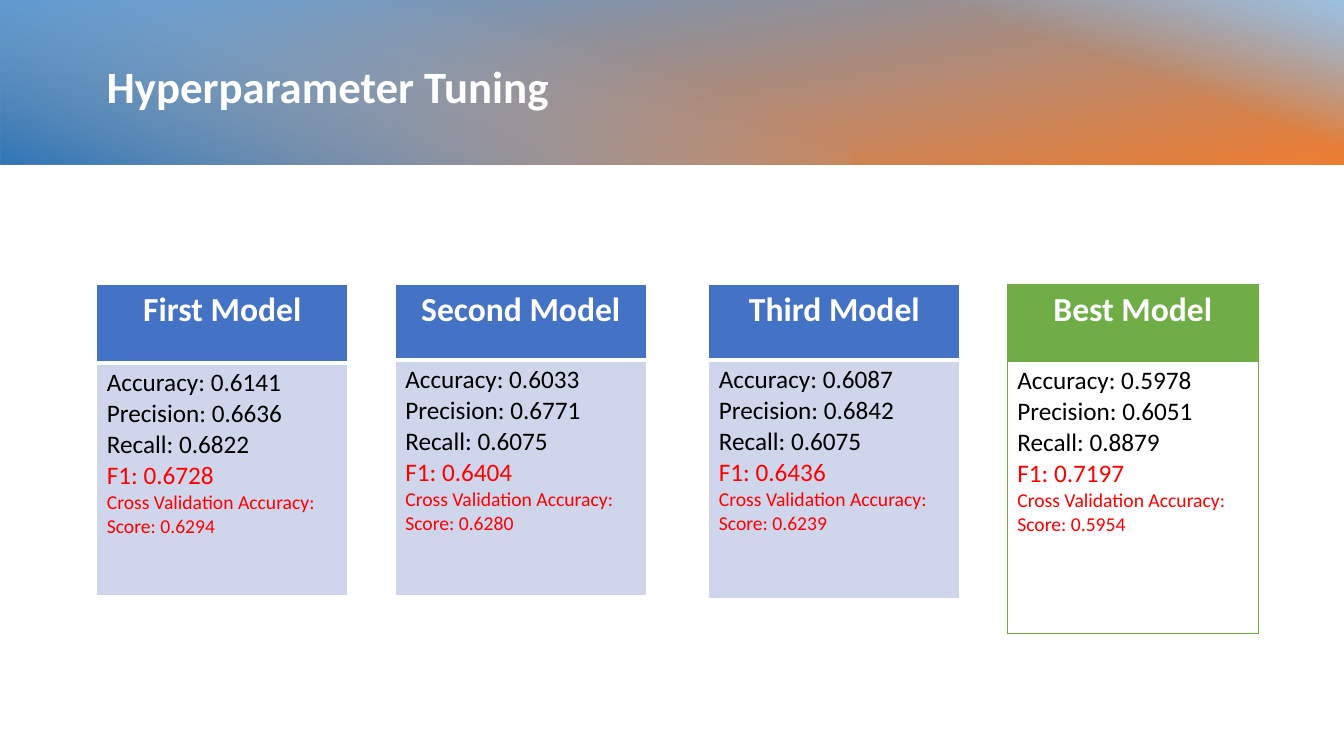
"""Builds the hyperparameter tuning slide with four model score tables."""
from pptx import Presentation, oxml, util as u
from pptx.dml.color import RGBColor
from pptx.enum import shapes, text
from pptx.oxml import ns

TITLE = "Hyperparameter Tuning"
FONT = "Calibri"
BANNER = [
    dict(box=(5.84, -5.87, 1.66, 13.34), rotation=270, angle=170,
         stops=[(0, "5B9BD5", 100), (100, "ED7D31", 100)]),
    dict(box=(9.75, -1.97, 1.65, 5.54), rotation=270, angle=20,
         stops=[(59, "9DC3E6", 0), (100, "9DC3E6", 100)]),
    dict(box=(3.39, -3.42, 1.66, 8.44), rotation=90, angle=20,
         stops=[(29, "9DC3E6", 0), (100, "2E75B6", 100)]),
]
BLUE = dict(header="4472C4", body="CFD5EA", border="FFFFFF", width=1, divider=3)
GREEN = dict(header="70AD47", body=None, border="70AD47", width=0.5, divider=0.5)
MODELS = [
    ("First Model", 0.96, (0.78, 2.31), BLUE, ("0.6141", "0.6636", "0.6822", "0.6728", "0.6294")),
    ("Second Model", 3.92, (0.75, 2.34), BLUE, ("0.6033", "0.6771", "0.6075", "0.6404", "0.6280")),
    ("Third Model", 7.03, (0.75, 2.37), BLUE, ("0.6087", "0.6842", "0.6075", "0.6436", "0.6239")),
    ("Best Model", 9.99, (0.76, 2.7), GREEN, ("0.5978", "0.6051", "0.8879", "0.7197", "0.5954")),
]
TABLE_TOP, TABLE_WIDTH = 2.82, 2.49
SCORE_LINES = [
    ("Accuracy: {0} Precision: {1} Recall: {2}", 18, "000000"),
    ("F1: {3}", 18, "FF0000"),
    ("Cross Validation Accuracy:", 14, "FF0000"),
    ("Score: {4}", 14, "FF0000"),
]


def color(value):
    return RGBColor.from_string(value)


def inches(values):
    return [u.Inches(value) for value in values]


def write(paragraph, words, size, shade, bold=False, **layout):
    run = paragraph.add_run()
    run.text = words
    for name, value in dict(name=FONT, size=u.Pt(size), bold=bold).items():
        setattr(run.font, name, value)
    run.font.color.rgb = color(shade)
    for name, value in layout.items():
        setattr(paragraph, name, value)


def add_gradient(slide, box, rotation, angle, stops):
    shape = slide.shapes.add_shape(shapes.MSO_SHAPE.RECTANGLE, *inches(box))
    shape.rotation = rotation
    shape.shadow.inherit = False
    shape.line.fill.background()
    shape.fill.background()
    marks = "".join(
        f'<a:gs pos="{place * 1000}"><a:srgbClr val="{shade}">'
        f'<a:alpha val="{opacity * 1000}"/></a:srgbClr></a:gs>'
        for place, shade, opacity in stops)
    gradient = oxml.parse_xml(
        f'<a:gradFill {ns.nsdecls("a")} rotWithShape="1"><a:gsLst>{marks}</a:gsLst>'
        f'<a:lin ang="{angle * 60000}" scaled="0"/></a:gradFill>')
    properties = shape._element.spPr
    properties.replace(properties.find(ns.qn("a:noFill")), gradient)


def style_cell(cell, fill, shade, widths):
    if fill:
        cell.fill.solid()
        cell.fill.fore_color.rgb = color(fill)
    else:
        cell.fill.background()
    properties = cell._tc.get_or_add_tcPr()
    for index, (side, width) in enumerate(zip("LRTB", widths)):
        properties.insert(index, oxml.parse_xml(
            f'<a:ln{side} {ns.nsdecls("a")} w="{u.Pt(width)}"><a:solidFill>'
            f'<a:srgbClr val="{shade}"/></a:solidFill></a:ln{side}>'))


def add_model(slide, name, left, heights, look, scores):
    box = inches((left, TABLE_TOP, TABLE_WIDTH, sum(heights)))
    table = slide.shapes.add_table(2, 1, *box).table
    table.first_row = table.horz_banding = False
    for row, height in zip(table.rows, heights):
        row.height = u.Inches(height)
    header, body = table.cell(0, 0), table.cell(1, 0)
    width, divider = look["width"], look["divider"]
    style_cell(header, look["header"], look["border"], (width, width, width, divider))
    style_cell(body, look["body"], look["border"], (width, width, divider, width))
    write(header.text_frame.paragraphs[0], name, 24, "FFFFFF", True,
          alignment=text.PP_ALIGN.CENTER)
    frame = body.text_frame
    for index, (words, size, shade) in enumerate(SCORE_LINES):
        paragraph = frame.add_paragraph() if index else frame.paragraphs[0]
        write(paragraph, words.format(*scores), size, shade)


def main():
    presentation = Presentation()
    presentation.slide_width, presentation.slide_height = inches((13.33, 7.5))
    slide = presentation.slides.add_slide(presentation.slide_layouts[6])
    for part in BANNER:
        add_gradient(slide, **part)
    frame = slide.shapes.add_textbox(*inches((0.96, 0.33, 11.46, 1.1))).text_frame
    frame.word_wrap = True
    frame.vertical_anchor = text.MSO_ANCHOR.MIDDLE
    write(frame.paragraphs[0], TITLE, 32, "FFFFFF", True,
          line_spacing=0.9, space_after=u.Pt(6))
    for model in MODELS:
        add_model(slide, *model)
    presentation.save("out.pptx")


if __name__ == "__main__":
    main()
